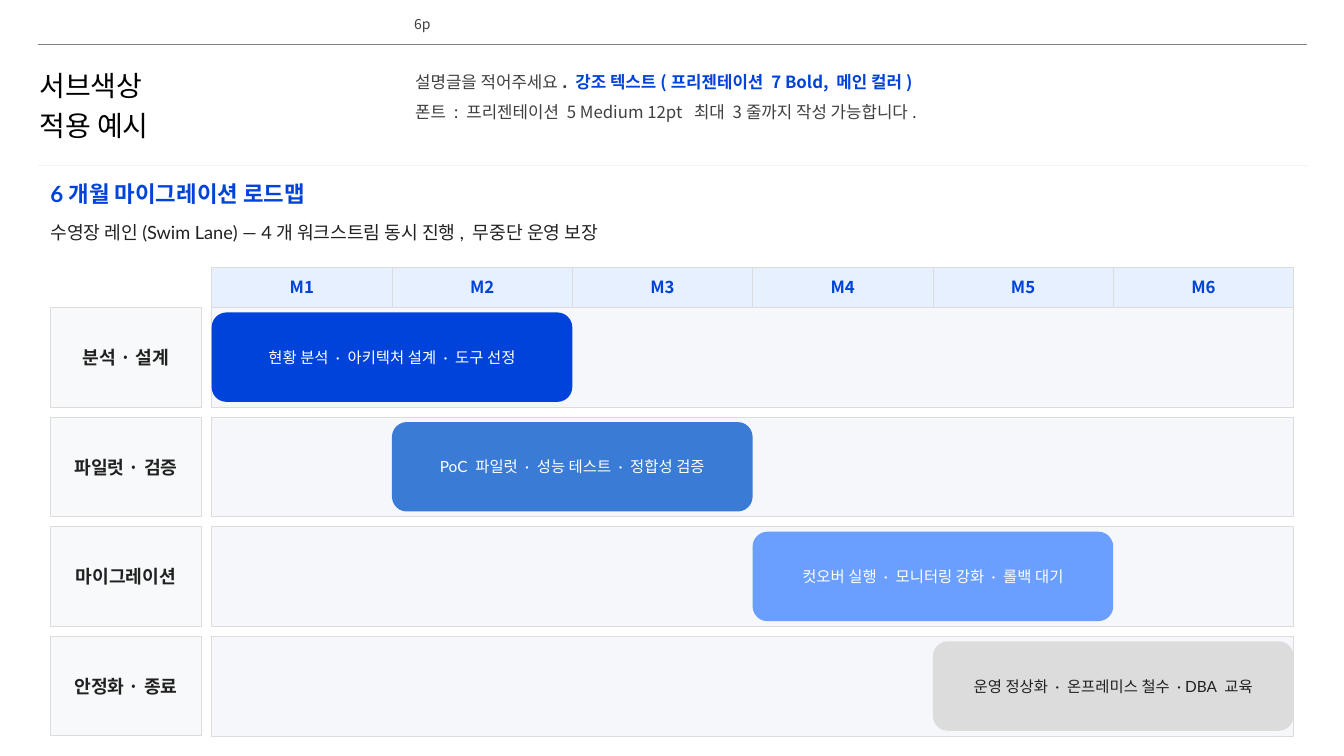
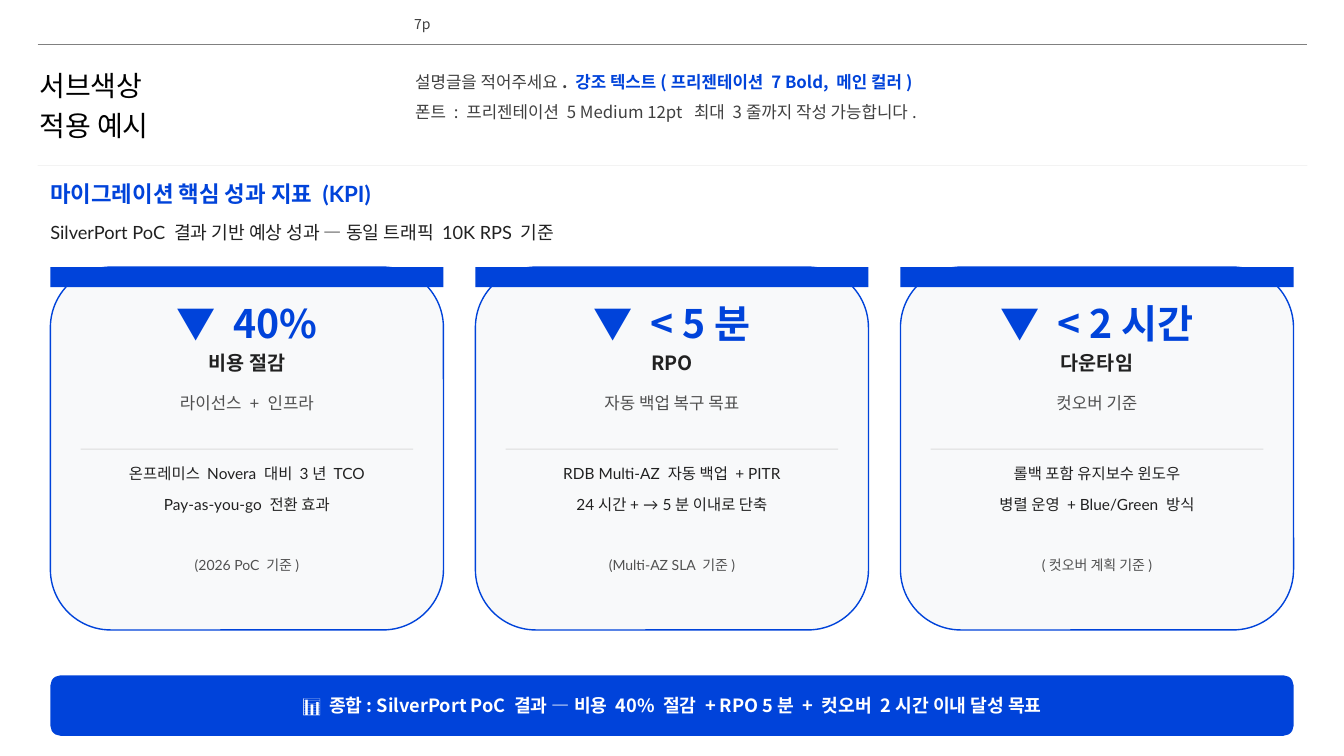
from lxml.etree import SubElement
from pptx import Presentation
from pptx.dml.color import RGBColor
from pptx.enum.shapes import MSO_CONNECTOR, MSO_SHAPE
from pptx.enum.text import MSO_ANCHOR, PP_ALIGN
from pptx.oxml.ns import qn
from pptx.util import Pt

rgb = RGBColor.from_string
BLUE, INK, GREY, RULE, PANEL, WHITE = "0043DA", "212121", "505050", "DCDCDC", "F8F9FA", "FFFFFF"
LATO, NOTO = "Lato", "Noto Sans CJK KR"
LEFT, WIDTH, TOP = 36, 888, 190.8


def box(s, at, fill=None, line=None, weight=0.5, kind=MSO_SHAPE.RECTANGLE):
    """Add a filled shape, or a text box when no fill is given."""
    at = [Pt(v) for v in at]
    if fill is None:
        return s.shapes.add_textbox(*at)
    sp = s.shapes.add_shape(kind, *at)
    sp.shadow.inherit = False
    sp.fill.solid()
    sp.fill.fore_color.rgb = rgb(fill)
    if line:
        sp.line.color.rgb = rgb(line)
        sp.line.width = Pt(weight)
    else:
        sp.line.fill.background()
    return sp


def write(sp, lines, size, color, font=NOTO, bold=False, align=PP_ALIGN.CENTER,
          anchor=MSO_ANCHOR.MIDDLE, inset=0, spacing=None):
    """Fill a shape with one paragraph per line and return the text frame."""
    tf = sp.text_frame
    tf.word_wrap = True
    tf.vertical_anchor = anchor
    tf.margin_left = tf.margin_right = tf.margin_top = tf.margin_bottom = Pt(inset)
    tf.text = lines
    for p in tf.paragraphs:
        p.alignment = align
        if spacing:
            p.line_spacing = spacing
        p.font.size = Pt(size)
        p.font.bold = bold
        p.font.color.rgb = rgb(color)
        p.font.name = font
        SubElement(p._p.pPr.find(qn("a:defRPr")), qn("a:ea"), typeface=NOTO)
    return tf


prs = Presentation()
prs.slide_width, prs.slide_height = Pt(960), Pt(540)

# Shared frame: rules, page number, title, description and headings
headings = [
    ("6p", "6개월 마이그레이션 로드맵",
     "수영장 레인(Swim Lane) — 4개 워크스트림 동시 진행, 무중단 운영 보장"),
    ("7p", "마이그레이션 핵심 성과 지표 (KPI)",
     "SilverPort PoC 결과 기반 예상 성과 — 동일 트래픽 10K RPS 기준"),
]
top_left = dict(align=PP_ALIGN.LEFT, anchor=MSO_ANCHOR.TOP)
for page, heading, subheading in headings:
    s = prs.slides.add_slide(prs.slide_layouts[6])
    for y, color, alpha in [(118.1, "E6E6E6", "68000"), (31.7, "808080", "100000")]:
        rule = s.shapes.add_connector(MSO_CONNECTOR.STRAIGHT, Pt(26.8), Pt(y), Pt(933.9), Pt(y))
        rule.line.color.rgb = rgb(color)
        rule.line.width = Pt(0.25)
        SubElement(rule.line._ln.find(".//" + qn("a:srgbClr")), qn("a:alpha"), val=alpha)
        SubElement(rule._element.spPr, qn("a:effectLst"))
    write(box(s, (295.9, 10.8, 127.4, 12.2)), page, 10, "404040", **top_left)
    write(box(s, (28.1, 43.9, 213.8, 73.4)), "서브색상\n적용 예시", 20, "000000",
          spacing=1.2, **top_left)
    tf = write(box(s, (296.6, 43.9, 594.7, 74.2)),
               "설명글을 적어주세요\n폰트 : 프리젠테이션 5 Medium 12pt  최대 3줄까지 작성 가능합니다.",
               12, "404040", spacing=1.5, **top_left)
    for text, color in [(". ", "404040"), ("강조 텍스트(프리젠테이션 7 Bold, 메인 컬러)", BLUE)]:
        r = tf.paragraphs[0].add_run()
        r.text = text
        r.font.bold = True
        r.font.color.rgb = rgb(color)
    write(box(s, (LEFT, 126, WIDTH, 25.2)), heading, 16, BLUE, LATO, True, PP_ALIGN.LEFT)
    write(box(s, (LEFT, 154.8, WIDTH, 21.6)), subheading, 13, INK, LATO, align=PP_ALIGN.LEFT)

roadmap, kpi = prs.slides

# Roadmap: month header
GRID = 151.2
MONTH = (LEFT + WIDTH - GRID) / 6
for i in range(6):
    sp = box(roadmap, (GRID + i * MONTH, TOP, MONTH, 28.8), "E6F0FF", RULE)
    write(sp, f"M{i + 1}", 12, BLUE, bold=True, inset=7.2)

# Roadmap: one lane per workstream, each bar two months long
lanes = [
    ("분석·설계", 0, "현황 분석 · 아키텍처 설계 · 도구 선정", BLUE, WHITE),
    ("파일럿·검증", 1, "PoC 파일럿 · 성능 테스트 · 정합성 검증", "3A7BD5", WHITE),
    ("마이그레이션", 3, "컷오버 실행 · 모니터링 강화 · 롤백 대기", "6B9FFF", WHITE),
    ("안정화·종료", 4, "운영 정상화 · 온프레미스 철수 · DBA 교육", RULE, INK),
]
LANE, GAP, PAD = 71.1, 7.2, 3.6
for i, (name, start, task, fill, color) in enumerate(lanes):
    y = TOP + 28.8 + i * (LANE + GAP)
    write(box(roadmap, (LEFT, y, 108, LANE), PANEL, RULE), name, 13, INK, bold=True, inset=5)
    box(roadmap, (GRID, y, 6 * MONTH, LANE), "F5F7FA", RULE, 0.25)
    bar = box(roadmap, (GRID + start * MONTH, y + PAD, 2 * MONTH, LANE - 2 * PAD), fill,
              kind=MSO_SHAPE.ROUNDED_RECTANGLE)
    write(bar, task, 11, color, LATO, inset=7.2)

# KPI cards
rows = [  # top, height, size, colour, font, bold
    (212.4, 36, 28, BLUE, NOTO, True),
    (248.4, 21.6, 14, INK, NOTO, True),
    (277.2, 21.6, 12, GREY, LATO, False),
    (327.6, 21.6, 11, INK, LATO, False),
    (349.2, 21.6, 11, INK, LATO, False),
    (392.4, 21.6, 10, GREY, LATO, False),
]
cards = [
    ("▼  40%", "비용 절감", "라이선스 + 인프라",
     "온프레미스 Novera 대비 3년 TCO", "Pay-as-you-go 전환 효과", "(2026 PoC 기준)"),
    ("▼  < 5분", "RPO", "자동 백업 복구 목표",
     "RDB Multi-AZ 자동 백업 + PITR", "24시간+ → 5분 이내로 단축", "(Multi-AZ SLA 기준)"),
    ("▼  < 2시간", "다운타임", "컷오버 기준",
     "롤백 포함 유지보수 윈도우", "병렬 운영 + Blue/Green 방식", "(컷오버 계획 기준)"),
]
CARD = 280.8
for i, texts in enumerate(cards):
    x = LEFT + i * (WIDTH - CARD) / 2
    box(kpi, (x, TOP, CARD, 259.2), PANEL, BLUE, 1, MSO_SHAPE.ROUNDED_RECTANGLE)
    box(kpi, (x, TOP, CARD, 14.4), BLUE)
    box(kpi, (x + 21.6, 320.4, CARD - 43.2, 0.72), RULE)
    for text, (y, height, size, color, font, bold) in zip(texts, rows):
        write(box(kpi, (x, y, CARD, height)), text, size, color, font, bold, inset=5)

# KPI summary band
band = box(kpi, (LEFT, 482.4, WIDTH, 43.2), BLUE, kind=MSO_SHAPE.ROUNDED_RECTANGLE)
write(band, "📊  종합: SilverPort PoC 결과 — 비용 40% 절감 + RPO 5분 + 컷오버 2시간 이내 달성 목표",
      13, WHITE, bold=True, inset=7.2)

prs.save("out.pptx")
